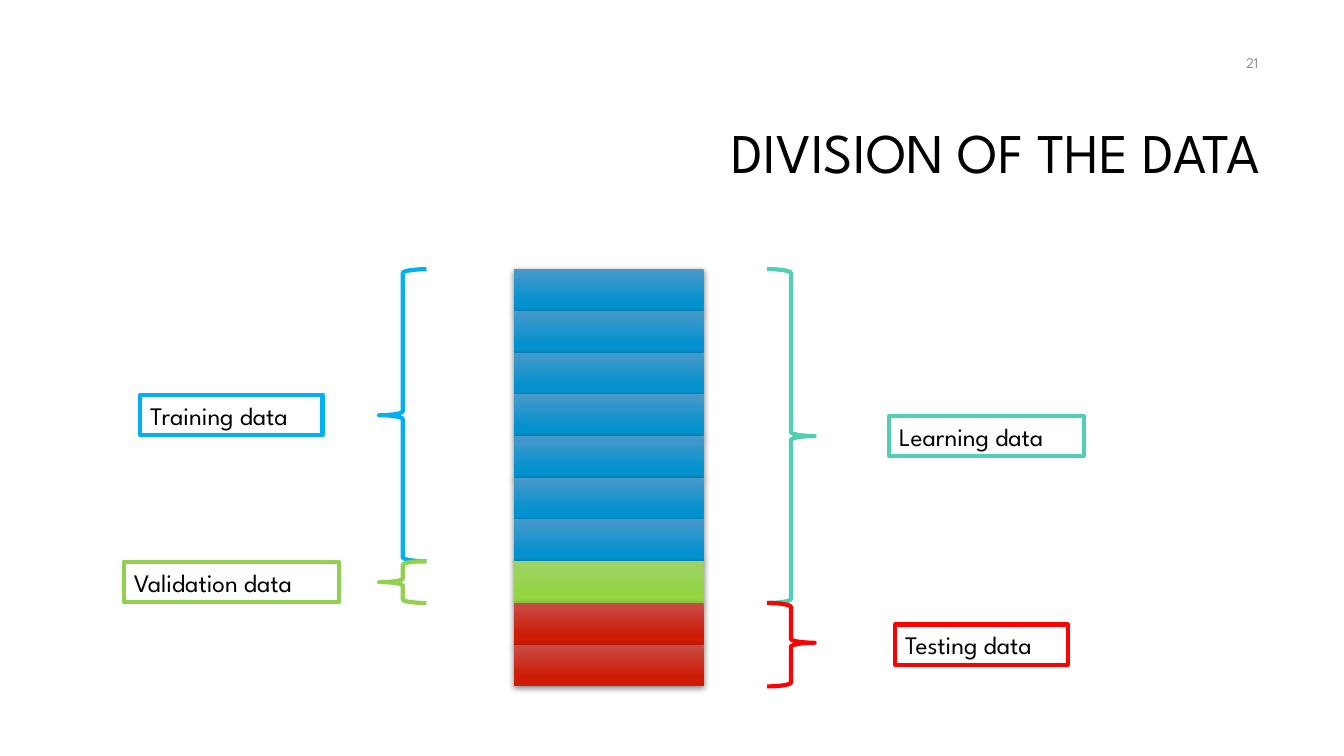
from lxml import etree
from pptx import Presentation
from pptx import util as u
from pptx.dml.color import RGBColor
from pptx.enum import shapes, text
from pptx.oxml import parse_xml
from pptx.oxml.ns import nsdecls, qn

SHADOW = (
    f'<a:outerShdw {nsdecls("a")} blurRad="57150" dist="19050" dir="5400000" '
    'algn="ctr" rotWithShape="0"><a:srgbClr val="000000">'
    '<a:alpha val="48000"/></a:srgbClr></a:outerShdw>'
)
STACK_TOP = 2.67
ROW_HEIGHT = 0.414
LABEL_HEIGHT = 0.4
BLUE, GREEN, RED = ("4899CA", "0492CE"), ("9ED365", "93D543"), ("C94D48", "CD1B04")
ROWS = [BLUE] * 7 + [GREEN] + [RED] * 2
GROUPS = [
    ("Learning data", 0, 8, "50CFB4", 7.61, 8.82, 1.93, 0, 0.5),
    ("Testing data", 8, 10, "FF0000", 7.61, 8.88, 1.71, 0, 0.477),
    ("Training data", 0, 7, "00B0F0", 3.76, 1.39, 1.81, 180, 0.5),
    ("Validation data", 7, 8, "92D050", 3.76, 1.23, 2.13, 180, 0.5),
]


def color(value):
    return RGBColor.from_string(value)


def write(frame, content, size=18, fill="000000", align=text.PP_ALIGN.LEFT, spacing=1.0):
    frame.word_wrap = True
    frame.vertical_anchor = text.MSO_ANCHOR.MIDDLE
    paragraph = frame.paragraphs[0]
    paragraph.alignment = align
    paragraph.line_spacing = spacing
    run = paragraph.add_run()
    run.text = content
    run.font.name = "League Spartan"
    run.font.size = u.Pt(size)
    run.font.color.rgb = color(fill)


class DivisionSlide:
    """Draws the stacked data rows, their braces and their labels on one slide."""

    def __init__(self, presentation):
        self.slide = presentation.slides.add_slide(presentation.slide_layouts[5])

    def title(self, content):
        title = self.slide.shapes.title
        title.left, title.top = u.Inches(3.17), u.Inches(0.84)
        title.width, title.height = u.Inches(9.42), u.Inches(1.41)
        write(title.text_frame, content, size=40, align=text.PP_ALIGN.RIGHT, spacing=0.9)

    def page_number(self, content):
        box = self.slide.shapes.add_textbox(
            u.Inches(9.58), u.Inches(0.42), u.Inches(3), u.Inches(0.4))
        write(box.text_frame, content, size=10.5, fill="8C8C8C", align=text.PP_ALIGN.RIGHT)

    def shape(self, kind, left, top, width, height):
        shape = self.slide.shapes.add_shape(
            kind, u.Inches(left), u.Inches(top), u.Inches(width), u.Inches(height))
        shape.shadow.inherit = False
        return shape

    def outline(self, shape, line):
        shape.line.color.rgb = color(line)
        shape.line.width = u.Pt(3)

    def row(self, index, colors):
        row = self.shape(shapes.MSO_SHAPE.RECTANGLE, 5.1,
                         STACK_TOP + index * ROW_HEIGHT, 1.88, ROW_HEIGHT)
        row.line.fill.background()
        row.fill.gradient()
        row.fill.gradient_angle = 270
        for stop, position, value in zip(row.fill.gradient_stops, (0, 0.78), colors):
            stop.position = position
            stop.color.rgb = color(value)
        row._element.spPr.find(qn("a:effectLst")).append(parse_xml(SHADOW))

    def brace(self, left, top, height, line, rotation, tip):
        brace = self.shape(shapes.MSO_SHAPE.RIGHT_BRACE, left, top, 0.47, height)
        brace.fill.background()
        brace.rotation = rotation
        brace.adjustments[1] = tip
        self.outline(brace, line)

    def label(self, content, left, top, width, line):
        label = self.shape(shapes.MSO_SHAPE.RECTANGLE, left, top, width, LABEL_HEIGHT)
        label.fill.solid()
        label.fill.fore_color.rgb = color("FFFFFF")
        self.outline(label, line)
        write(label.text_frame, content)

    def group(self, content, first, end, line, brace_left, label_left, width, rotation, tip):
        top = STACK_TOP + first * ROW_HEIGHT
        height = (end - first) * ROW_HEIGHT
        self.brace(brace_left, top, height, line, rotation, tip)
        self.label(content, label_left, top + (height - LABEL_HEIGHT) / 2, width, line)


def main():
    presentation = Presentation()
    presentation.slide_width = u.Inches(13.33)
    presentation.slide_height = u.Inches(7.5)
    division = DivisionSlide(presentation)
    division.title("DIVISION OF THE DATA")
    for index, colors in enumerate(ROWS):
        division.row(index, colors)
    for group in GROUPS:
        division.group(*group)
    division.page_number("21")
    presentation.save("out.pptx")


if __name__ == "__main__":
    main()
